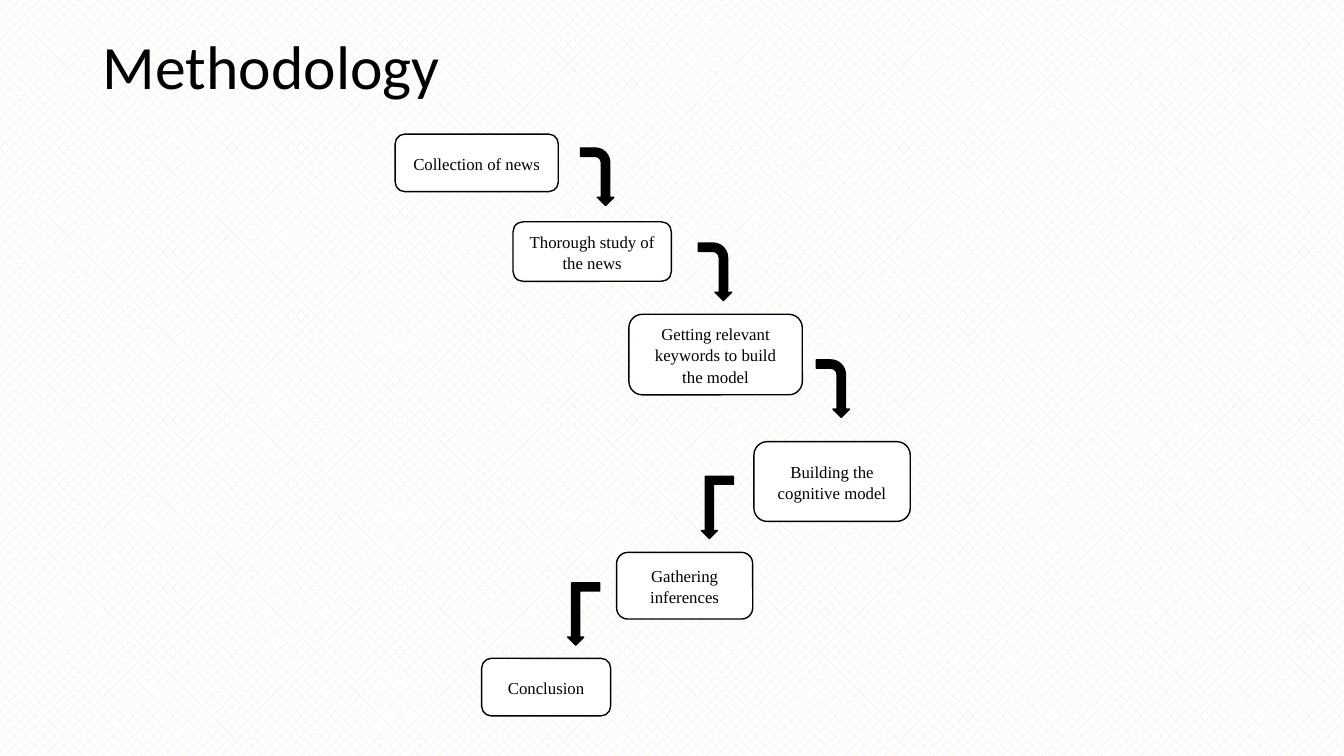
from pptx import Presentation
from pptx.dml.color import RGBColor
from pptx.enum.dml import MSO_PATTERN
from pptx.enum.shapes import MSO_SHAPE
from pptx.enum.text import MSO_ANCHOR, PP_ALIGN
from pptx.util import Cm, Pt

ROUNDED = MSO_SHAPE.ROUNDED_RECTANGLE
BENT = MSO_SHAPE.BENT_ARROW
BENT_UP = MSO_SHAPE.BENT_UP_ARROW
BACKGROUND_PATTERN = MSO_PATTERN.PERCENT_30
MIDDLE = MSO_ANCHOR.MIDDLE
LEFT, CENTER = PP_ALIGN.LEFT, PP_ALIGN.CENTER
TITLE_ONLY = 5

COLORS = {"ink": "000000", "paper": "FFFFFF", "tint": "FBE5D6"}
TITLE_FORMAT = {"alignment": LEFT, "line_spacing": 0.9}
TITLE_FONT = {"name": "Calibri", "size": Pt(44)}
STEP_FORMAT = {"alignment": CENTER, "line_spacing": 1.07, "space_after": Pt(8)}
STEP_FONT = {"name": "Times New Roman", "size": Pt(12)}

# Arrow direction: preset, width, height, rotation, side of the step
ARROWS = {
    "right": (BENT, 1.45, 0.84, 90, 1),
    "left": (BENT_UP, 0.81, 1.57, 180, -1),
}
# Text, box in cm, then arrow direction with its centre's distance
# from the step's edge and below the step's middle
STEPS = [
    ("Collection of news", (9.96, 3.38, 4.11, 1.45), ("right", 0.98, 0.35)),
    ("Thorough study of the news", (12.93, 5.59, 3.99, 1.5), ("right", 1.1, 0.51)),
    ("Getting relevant keywords to build the model",
     (15.85, 7.92, 4.37, 2.03), ("right", 0.77, 0.86)),
    ("Building the cognitive model", (19, 11.13, 3.94, 2.01), ("left", 0.92, 0.65)),
    ("Gathering inferences", (15.54, 13.92, 3.43, 1.68), ("left", 0.83, 0.71)),
    ("Conclusion", (12.14, 16.59, 3.25, 1.45), None),
]


def color(name):
    return RGBColor.from_string(COLORS[name])


def set_attributes(target, values):
    for name, value in values.items():
        setattr(target, name, value)


def write_text(shape, text, paragraph_format, font_format):
    frame = shape.text_frame
    frame.word_wrap = True
    frame.vertical_anchor = MIDDLE
    paragraph = frame.paragraphs[0]
    set_attributes(paragraph, paragraph_format)
    run = paragraph.add_run()
    run.text = text
    set_attributes(run.font, font_format)
    run.font.color.rgb = color("ink")


def add_outlined_shape(slide, preset, box, fill):
    shape = slide.shapes.add_shape(preset, *(Cm(length) for length in box))
    shape.shadow.inherit = False
    shape.fill.solid()
    shape.fill.fore_color.rgb = color(fill)
    shape.line.color.rgb = color("ink")
    shape.line.width = Pt(1)
    return shape


def add_arrow(slide, step_box, direction, gap, drop):
    """Place the arrow beside the step, on the side it points to."""
    left, top, width, height = step_box
    preset, arrow_width, arrow_height, rotation, side = ARROWS[direction]
    center_x = left + width / 2 + side * (width / 2 + gap)
    center_y = top + height / 2 + drop
    arrow_box = (center_x - arrow_width / 2, center_y - arrow_height / 2,
                 arrow_width, arrow_height)
    arrow = add_outlined_shape(slide, preset, arrow_box, "ink")
    arrow.rotation = rotation


def add_step(slide, text, box, arrow):
    step = add_outlined_shape(slide, ROUNDED, box, "paper")
    write_text(step, text, STEP_FORMAT, STEP_FONT)
    if arrow:
        add_arrow(slide, box, *arrow)


def set_background(slide):
    fill = slide.background.fill
    fill.patterned()
    fill.pattern = BACKGROUND_PATTERN
    fill.fore_color.rgb = color("tint")
    fill.back_color.rgb = color("paper")


def set_title(slide, text, box):
    title = slide.shapes.title
    title.left, title.top, title.width, title.height = (Cm(length) for length in box)
    write_text(title, text, TITLE_FORMAT, TITLE_FONT)


def main():
    presentation = Presentation()
    presentation.slide_width = Cm(33.87)
    presentation.slide_height = Cm(19.05)
    slide = presentation.slides.add_slide(presentation.slide_layouts[TITLE_ONLY])
    set_background(slide)
    set_title(slide, "Methodology", (2.34, -0.1, 29.21, 3.68))
    for text, box, arrow in STEPS:
        add_step(slide, text, box, arrow)
    presentation.save("out.pptx")


if __name__ == "__main__":
    main()
